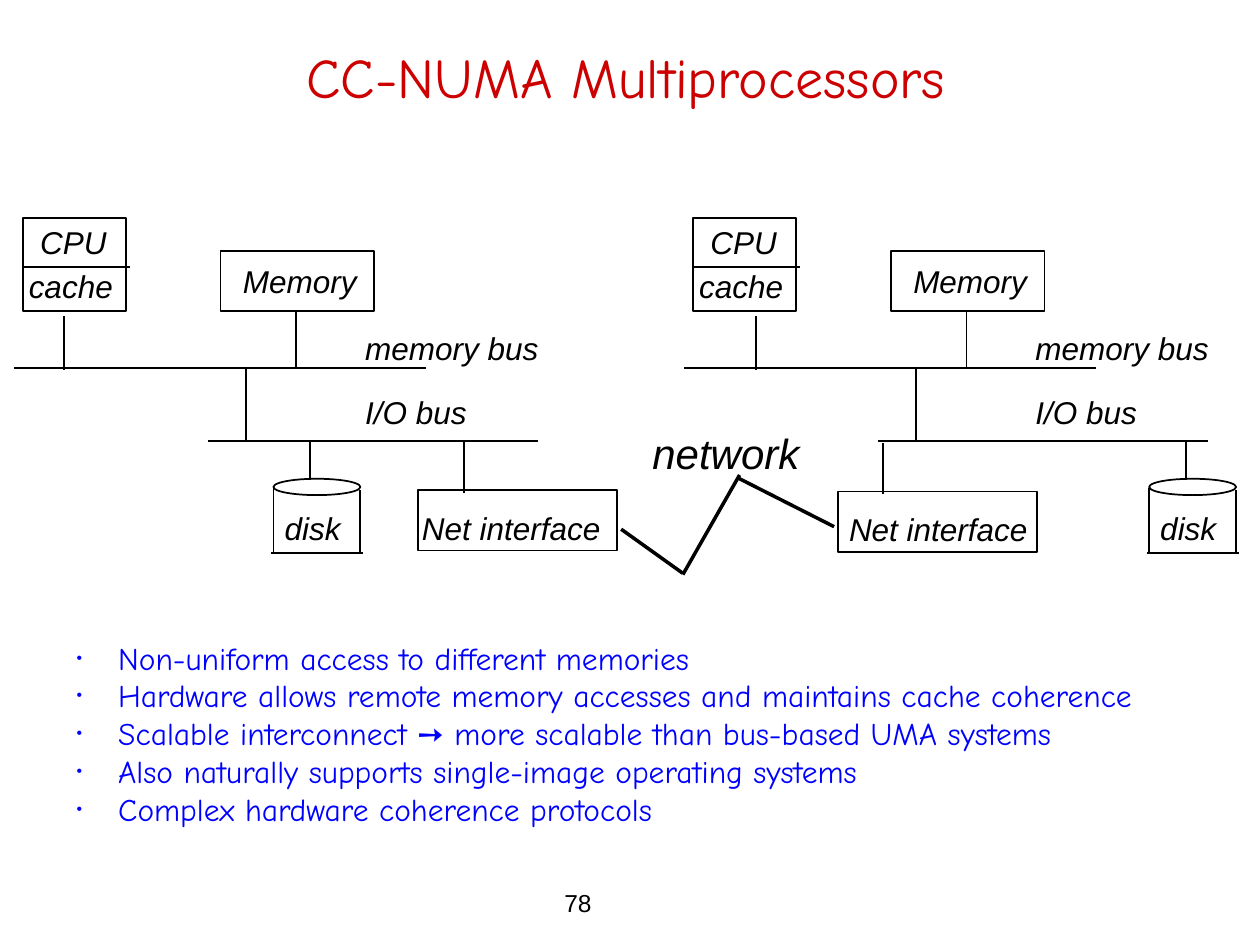
from pptx import Presentation
from pptx.dml.color import RGBColor
from pptx.enum.shapes import MSO_CONNECTOR, MSO_SHAPE
from pptx.enum.text import MSO_ANCHOR, PP_ALIGN
from pptx.oxml.ns import qn
from pptx.util import Inches, Pt
from lxml import etree

LINE = MSO_CONNECTOR.STRAIGHT
RECT, OVAL = MSO_SHAPE.RECTANGLE, MSO_SHAPE.OVAL
LEFT, CENTER = PP_ALIGN.LEFT, PP_ALIGN.CENTER
TOP, BOTTOM = MSO_ANCHOR.TOP, MSO_ANCHOR.BOTTOM

BLACK, WHITE, RED, BLUE = "000000", "FFFFFF", "CC0000", "0000FF"


def rgb(value):
    return RGBColor.from_string(value)


class Deck:
    sans = "Arial"
    hand = "Comic Neue"

    def __init__(self, prs):
        self.s = prs.slides.add_slide(prs.slide_layouts[6])

    def frame(self, x, y, w, h, anchor=TOP):
        box = self.s.shapes.add_textbox(Inches(x), Inches(y), Inches(w), Inches(h))
        tf = box.text_frame
        tf.word_wrap = True
        tf.vertical_anchor = anchor
        return tf

    def run(self, p, text, size, font, color, italic=False):
        r = p.add_run()
        r.text = text
        r.font.size = Pt(size)
        r.font.name = font
        r.font.italic = italic
        r.font.color.rgb = rgb(color)

    def title(self, x, y, w, h, text):
        p = self.frame(x, y, w, h, BOTTOM).paragraphs[0]
        p.alignment = CENTER
        self.run(p, text, 32, self.hand, RED)

    def label(self, x, y, w, text, size=18, h=0.4, italic=True):
        p = self.frame(x, y, w, h).paragraphs[0]
        p.alignment = LEFT
        self.run(p, text, size, self.sans, BLACK, italic)

    def shape(self, kind, x, y, w, h):
        sp = self.s.shapes.add_shape(kind, Inches(x), Inches(y), Inches(w), Inches(h))
        sp.shadow.inherit = False
        sp.fill.solid()
        sp.fill.fore_color.rgb = rgb(WHITE)
        sp.line.color.rgb = rgb(BLACK)
        sp.line.width = Pt(1)

    def line(self, x1, y1, x2, y2, width=1):
        ln = self.s.shapes.add_connector(LINE, Inches(x1), Inches(y1), Inches(x2), Inches(y2))
        ln.line.color.rgb = rgb(BLACK)
        ln.line.width = Pt(width)
        etree.SubElement(ln._element.spPr, qn("a:effectLst"))

    def bullets(self, x, y, w, h, items):
        tf = self.frame(x, y, w, h)
        for i, runs in enumerate(items):
            p = tf.add_paragraph() if i else tf.paragraphs[0]
            pPr = p._p.get_or_add_pPr()
            pPr.set("marL", str(Inches(0.33)))
            pPr.set("indent", str(-Inches(0.33)))
            clr = etree.SubElement(pPr, qn("a:buClr"))
            etree.SubElement(clr, qn("a:srgbClr"), val=BLUE)
            etree.SubElement(pPr, qn("a:buSzPct"), val="50000")
            etree.SubElement(pPr, qn("a:buFont"), typeface=self.sans)
            etree.SubElement(pPr, qn("a:buChar"), char="•")
            p.line_spacing = Pt(21.6)
            for text, font in runs:
                self.run(p, text, 18, font, BLUE)

    # One node: processor, memory and the two buses
    def node(self, x, cpu_wire):
        self.line(x + 0.11, 2.92, x + 3.38, 2.92)
        self.shape(RECT, x + 0.18, 1.73, 0.82, 0.74)
        self.label(x + 0.22, 1.72, 0.8, "CPU")
        self.label(x + 0.13, 2.07, 1.02, "cache")
        self.line(x + 0.18, 2.12, x + 1.03, 2.12)
        self.line(cpu_wire, 2.51, cpu_wire, 2.94)
        self.shape(RECT, x + 1.75, 1.99, 1.22, 0.48)
        self.label(x + 1.83, 2.03, 1.2, "Memory")
        self.line(x + 2.35, 2.48, x + 2.35, 2.92)
        self.label(x + 2.8, 2.56, 1.7, "memory bus")
        self.line(x + 1.65, 3.5, x + 4.27, 3.5)
        self.line(x + 1.95, 2.92, x + 1.95, 3.51)
        self.label(x + 2.8, 3.07, 1.1, "I/O bus")

    def disk(self, x):
        self.shape(OVAL, x, 3.8, 0.69, 0.13)
        self.line(x + 0.29, 3.51, x + 0.29, 3.81)
        self.line(x, 3.87, x, 4.39)
        self.line(x - 0.02, 4.39, x + 0.71, 4.39)
        self.line(x + 0.69, 3.89, x + 0.69, 4.39)
        self.label(x - 0.01, 3.99, 0.75, "disk")

    def net_interface(self, x, y, text_x):
        self.shape(RECT, x, y, 1.58, 0.48)
        self.line(x + 0.36, y - 0.38, x + 0.36, y + 0.02)
        self.label(text_x, y + 0.1, 1.7, "Net interface")


def main():
    prs = Presentation()
    prs.slide_width, prs.slide_height = Inches(10), Inches(7.5)
    deck = Deck(prs)

    # Page number and title
    deck.label(4.38, 7, 1.09, "78", 14, 0.34, italic=False)
    deck.title(0.44, 0.17, 9.06, 0.75, "CC-NUMA Multiprocessors")

    # Two nodes: left edge, CPU wire, disk, interface box and its text
    for x, wire, disk_x, net_x, net_y, text_x in (
        (0, 0.51, 2.17, 3.32, 3.89, 3.25),
        (5.32, 6, 9.12, 6.65, 3.9, 6.64),
    ):
        deck.node(x, wire)
        deck.disk(disk_x)
        deck.net_interface(net_x, net_y, text_x)

    # Network link between the nodes
    deck.line(4.93, 4.2, 5.42, 4.55, 2)
    deck.line(5.42, 4.56, 5.87, 3.77, 2)
    deck.line(5.85, 3.79, 6.62, 4.18, 2)
    deck.label(5.08, 3.34, 1.5, "network", 24, 0.5)

    # Key points
    hand, sans = deck.hand, deck.sans
    deck.bullets(0.51, 5.02, 8.99, 1.73, [
        [("Non-uniform access to different memories", hand)],
        [("Hardware allows remote memory accesses and maintains cache coherence", hand)],
        [("Scalable interconnect ", hand), ("➙", sans),
         (" more scalable than bus-based UMA systems", hand)],
        [("Also naturally supports single-image operating systems", hand)],
        [("Complex hardware coherence protocols", hand)],
    ])

    prs.save("out.pptx")


if __name__ == "__main__":
    main()
